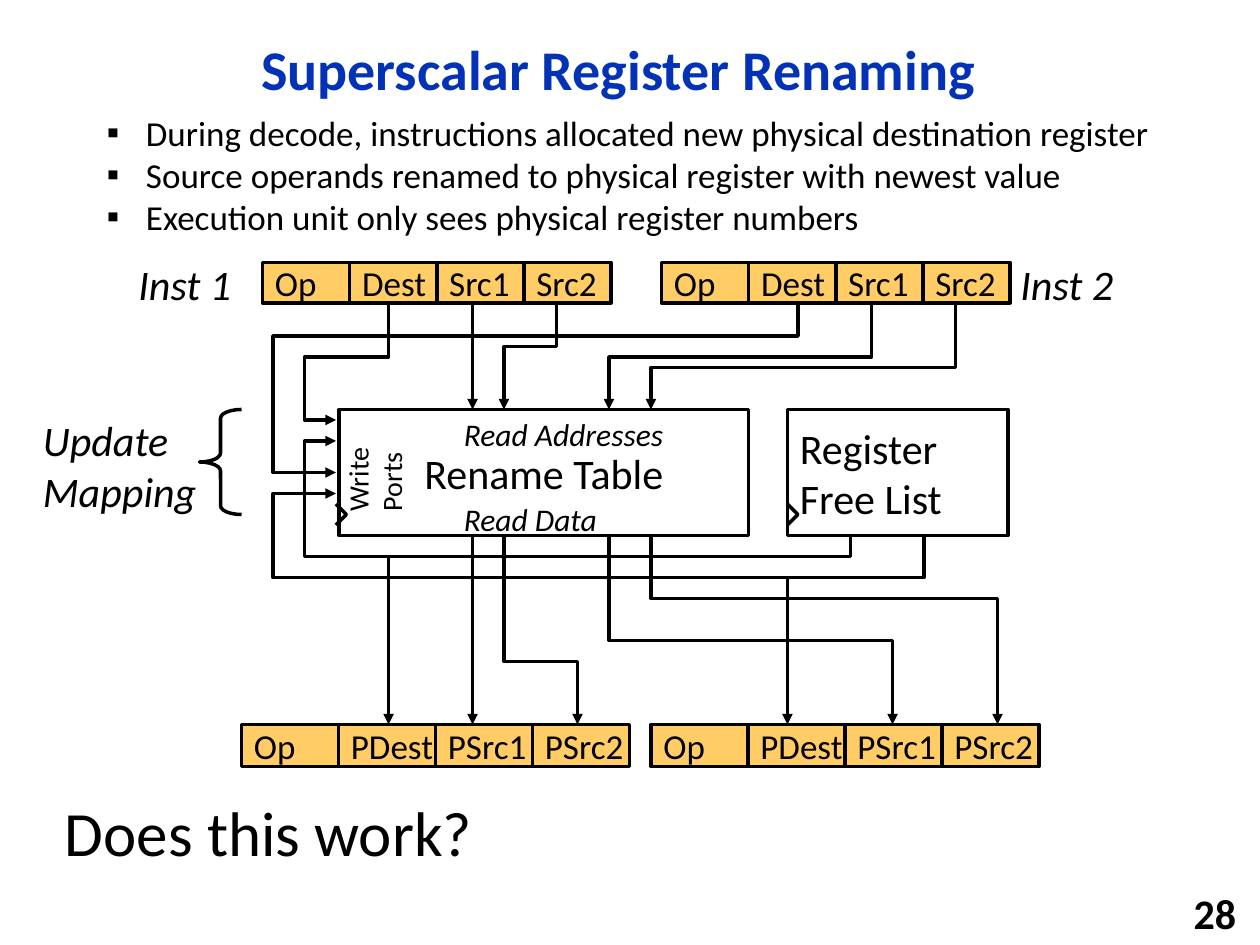
"""Build the slide on superscalar register renaming on a grid of twelfths of an inch."""
from lxml import etree
from pptx import Presentation, util as u
from pptx.dml.color import RGBColor
from pptx.enum import shapes, text
from pptx.oxml import ns

UNIT = u.Inches(1) / 12
INK, GOLD, BLUE = "000000", "FFCC66", "0332B7"
KIND, ALIGN, ANCHOR = shapes.MSO_SHAPE, text.PP_ALIGN, text.MSO_ANCHOR


def write(shape, lines, size, color=INK, bold=False, italic=False, wrap=True,
          align=ALIGN.LEFT, anchor=ANCHOR.MIDDLE):
    """Fill a shape with one paragraph per line."""
    frame = shape.text_frame
    frame.word_wrap, frame.vertical_anchor = wrap, anchor
    for num, line in enumerate(lines):
        para = frame.add_paragraph() if num else frame.paragraphs[0]
        para.alignment = align
        run = para.add_run()
        run.text = line
        font = run.font
        font.name, font.size, font.bold, font.italic = "Calibri", u.Pt(size), bold, italic
        font.color.rgb = RGBColor.from_string(color)
    return frame


def style(shape, fill=None, tail=False):
    """Give a shape its fill, a black line and, if asked, an arrowhead."""
    shape.shadow.inherit = False
    if fill:
        shape.fill.solid()
        shape.fill.fore_color.rgb = RGBColor.from_string(fill)
    else:
        shape.fill.background()
    shape.line.width = u.Pt(2)
    shape.line.color.rgb = RGBColor.from_string(INK)
    if tail:
        etree.SubElement(shape.line._get_or_add_ln(), ns.qn("a:tailEnd"), type="triangle")


deck = Presentation()
deck.slide_width, deck.slide_height = int(120 * UNIT), int(90 * UNIT)
slide = deck.slides.add_slide(deck.slide_layouts[5])
draw = slide.shapes

title = draw.title
title.left, title.top, title.width, title.height = [int(n * UNIT) for n in (11, 2, 95.8, 9.7)]
frame = write(title, ["Superscalar Register Renaming"], 32, BLUE, bold=True, align=ALIGN.CENTER)
frame.paragraphs[0].line_spacing = 0.9

points = draw.add_textbox(*[int(n * UNIT) for n in (9, 10, 105, 11)])
frame = write(points, [
    "During decode, instructions allocated new physical destination register",
    "Source operands renamed to physical register with newest value",
    "Execution unit only sees physical register numbers",
], 20, anchor=ANCHOR.TOP)
for para in frame.paragraphs:
    prop = para._p.get_or_add_pPr()
    prop.set("marL", str(u.Inches(0.31)))
    prop.set("indent", str(-u.Inches(0.31)))
    etree.SubElement(prop, ns.qn("a:buFont"), typeface="Calibri")
    etree.SubElement(prop, ns.qn("a:buChar"), char="▪")

number = draw.add_textbox(*[int(n * UNIT) for n in (94, 85, 24.9, 3.8)])
write(number, ["28"], 24, bold=True, wrap=False, align=ALIGN.RIGHT)

for left, width, label, align in [
    (32.3, 39, "Rename Table", ALIGN.CENTER),
    (75, 21, "Register Free List", ALIGN.LEFT),
]:
    block = draw.add_shape(KIND.RECTANGLE, *[int(n * UNIT) for n in (left, 39, width, 12)])
    style(block)
    write(block, [label], 24, align=align)

before, after = ["Op", "Dest", "Src1", "Src2"], ["Op", "PDest", "PSrc1", "PSrc2"]
for left, top, width, height, names in [
    (25, 25, 8.3, 3.85, before), (63, 25, 8.3, 3.85, before),
    (23, 69, 9.24, 4, after), (62, 69, 9.24, 4, after),
]:
    group = draw.add_group_shape()
    for col, name in enumerate(names):
        place = (left + col * width, top, width, height)
        cell = group.shapes.add_shape(KIND.RECTANGLE, *[int(n * UNIT) for n in place])
        style(cell, GOLD)
        write(cell, [name], 20, wrap=False)

for top, end in [(29, 39), (51, 69)]:
    ends = [int(n * UNIT) for n in (45, top, 45, end)]
    line = draw.add_connector(shapes.MSO_CONNECTOR.STRAIGHT, *ends)
    line.line.width = u.Pt(2)
    line.line.color.rgb = RGBColor.from_string(INK)
    etree.SubElement(line.line._get_or_add_ln(), ns.qn("a:tailEnd"), type="triangle")
    etree.SubElement(line._element.spPr, ns.qn("a:effectLst"))

reads = [(x, 29, bend, to, 39) for x, bend, to in [(53, 33, 48), (83, 33.6, 58), (91, 35.4, 62)]]
datas = [(x, 51, bend, to, 69) for x, bend, to in
         [(48, 63, 55), (58, 60.6, 85), (62, 57, 95), (81, 53, 37), (88, 55, 75)]]
wires = [[(x, top), (x, bend), (to, bend), (to, end)] for x, top, bend, to, end in reads + datas]
wires += [
    [(76, 29), (76, 32), (26, 32), (26, 45), (32, 45)],
    [(75, 55), (26, 55), (26, 47), (32, 47)],
    [(37, 29), (37, 34), (29, 34), (29, 40), (32, 40)],
    [(37, 53), (29, 53), (29, 42), (32, 42)],
]
clocks = [[(x, y), (x + 1, y + 1), (x, y + 2)] for x, y in [(32.3, 48.2), (75, 48)]]
for route in wires + clocks:
    pen = draw.build_freeform(*route[0], scale=UNIT)
    pen.add_line_segments(route[1:], close=False)
    style(pen.convert_to_shape(), tail=route in wires)

brace = draw.add_shape(KIND.LEFT_BRACE, *[int(n * UNIT) for n in (19, 39, 4, 10)])
brace.adjustments[0] = 0.21
style(brace)

for place, lines, size, italic, wrap, turn in [
    ((2.9, 38.9, 18.1, 10.9), ["Update", "Mapping"], 24, True, False, 0),
    ((5, 75, 110, 8.5), ["Does this work?"], 36, False, True, 0),
    ((12, 24, 12.4, 6), ["Inst 1"], 24, True, False, 0),
    ((96, 24, 12.4, 6), ["Inst 2"], 24, True, False, 0),
    ((43, 38.9, 22.4, 4.8), ["Read Addresses"], 18, True, False, 0),
    ((43, 47, 20, 4.8), ["Read Data"], 18, True, True, 0),
    ((30.7, 41, 10, 7.7), ["Write Ports"], 16, False, True, 270),
]:
    note = draw.add_textbox(*[int(n * UNIT) for n in place])
    note.rotation = turn
    write(note, lines, size, italic=italic, wrap=wrap, anchor=ANCHOR.TOP)

deck.save("out.pptx")
